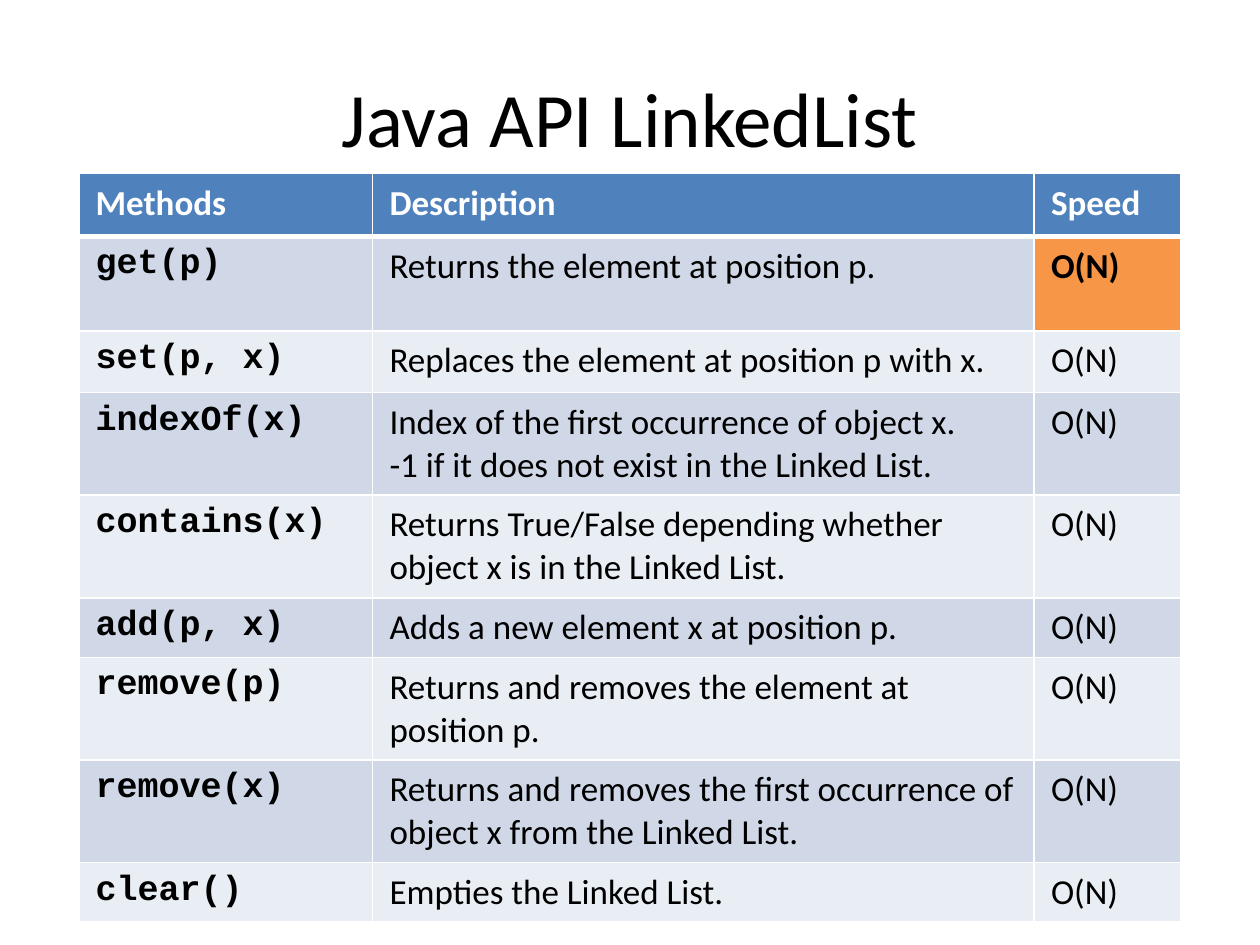
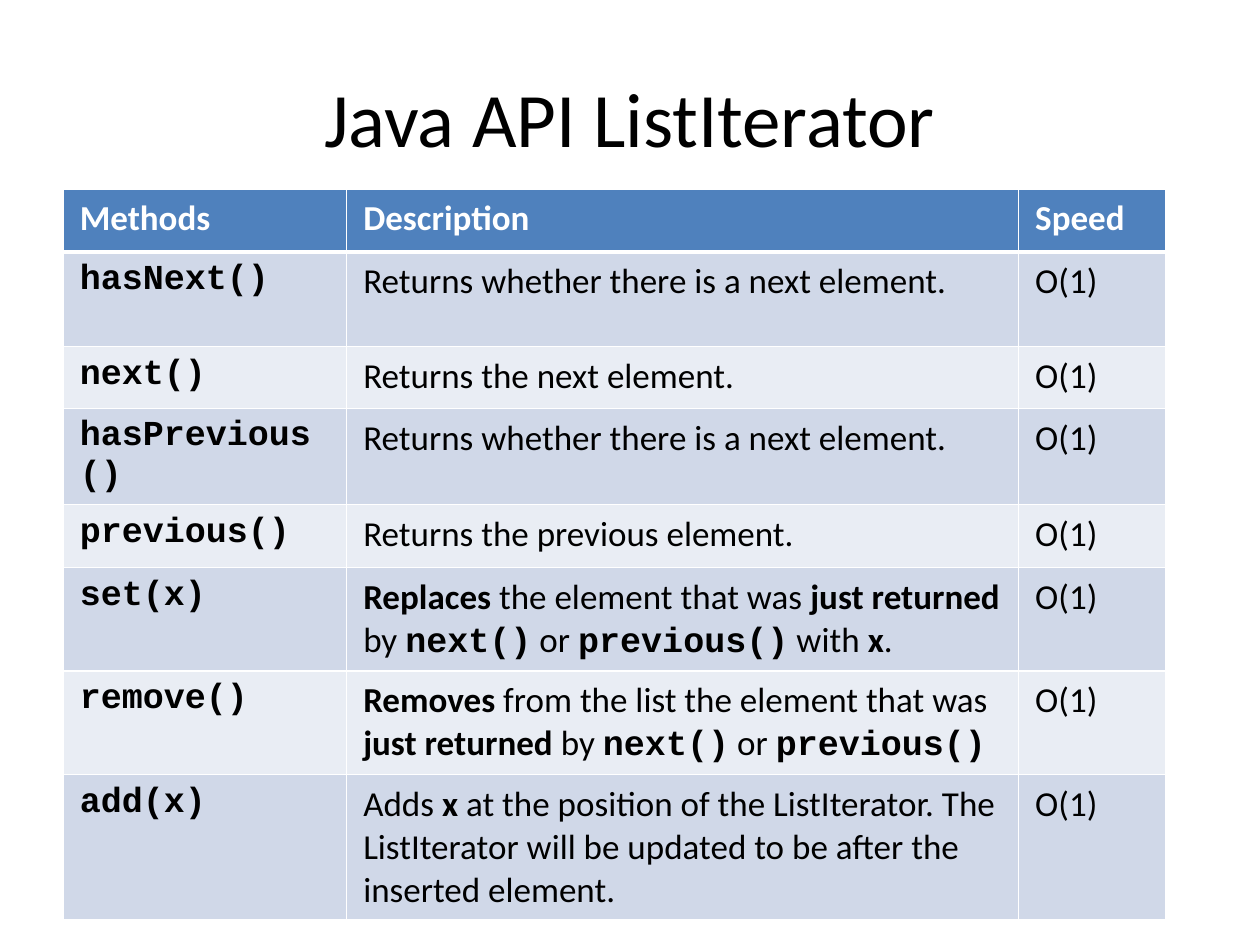
from lxml.etree import SubElement
from pptx import Presentation
from pptx.dml.color import RGBColor
from pptx.enum.text import MSO_ANCHOR, PP_ALIGN
from pptx.oxml.ns import qn
from pptx.util import Inches, Pt

WHITE = RGBColor(0xFF, 0xFF, 0xFF)
BLACK = RGBColor(0x00, 0x00, 0x00)
BLUE = RGBColor(0x4F, 0x81, 0xBD)
BAND = RGBColor(0xD0, 0xD8, 0xE8)
PALE = RGBColor(0xE9, 0xED, 0xF4)
ORANGE = RGBColor(0xF7, 0x96, 0x46)

SANS, MONO = "Calibri", "Courier New"

# Grid of 120 columns by 90 rows
COLS, ROWS = 120, 90
WIDTH, HEIGHT = Inches(10), Inches(7.5)
TITLE_BOX = (6, 3.6, 108, 15)
HEAD = ("Methods", "Description", "Speed")

# In cell text, *stars* mark bold and `ticks` mark code
LINKED = [
    ("get(p)", "Returns the element at position p."),
    ("set(p, x)", "Replaces the element at position p with x."),
    ("indexOf(x)", "Index of the first occurrence of object x.\n"
                   "-1 if it does not exist in the Linked List."),
    ("contains(x)", "Returns True/False depending whether object x is in the Linked List."),
    ("add(p, x)", "Adds a new element x at position p."),
    ("remove(p)", "Returns and removes the element at position p."),
    ("remove(x)", "Returns and removes the first occurrence of object x from the Linked List."),
    ("clear()", "Empties the Linked List."),
]
ITERATOR = [
    ("hasNext()", "Returns whether there is a next element."),
    ("next()", "Returns the next element."),
    ("hasPrevious()", "Returns whether there is a next element."),
    ("previous()", "Returns the previous element."),
    ("set(x)", "*Replaces* the element that was *just returned* by "
               "`next()` or `previous()` with *x*."),
    ("remove()", "*Removes* from the list the element that was *just returned* by "
                 "`next()` or `previous()`"),
    ("add(x)", "Adds *x* at the position of the ListIterator. The ListIterator "
               "will be updated to be after the inserted element."),
]
SLIDES = [
    dict(title="Java API LinkedList", methods=LINKED, speed="O(N)", hot=1,
         left=7.5, top=16.5, cols=(28, 63, 14), rows=(6, 9, 5.9, 6, 6, 5, 5, 5, 5)),
    dict(title="Java API ListIterator", methods=ITERATOR, speed="O(1)", hot=None,
         left=6, top=18, cols=(27, 64, 14), rows=(6, 9, 5.9, 6, 6, 5, 5, 5)),
]


def across(n):
    return round(WIDTH * n / COLS)


def down(n):
    return round(HEIGHT * n / ROWS)


def apply(target, **values):
    for name, value in values.items():
        setattr(target, name, value)


def add_run(para, text, size, color, bold=False, face=SANS):
    run = para.add_run()
    run.text = text
    apply(run.font, size=Pt(size), bold=bold, name=face)
    run.font.color.rgb = color


def add_title(slide, text, box):
    left, top, width, height = box
    title = slide.shapes.title
    apply(title, left=across(left), top=down(top), width=across(width), height=down(height))
    frame = title.text_frame
    frame.vertical_anchor = MSO_ANCHOR.MIDDLE
    para = frame.paragraphs[0]
    para.alignment = PP_ALIGN.CENTER
    add_run(para, text, 44, BLACK)


def set_edges(cell, top=1, bottom=1):
    props = cell._tc.get_or_add_tcPr()
    edges = {"a:lnL": 1, "a:lnR": 1, "a:lnT": top, "a:lnB": bottom}
    for spot, (tag, points) in enumerate(edges.items()):
        line = SubElement(props, qn(tag), w=str(Pt(points)))
        fill = SubElement(line, qn("a:solidFill"))
        SubElement(fill, qn("a:srgbClr"), val=str(WHITE))
        props.insert(spot, line)


def fill_cell(cell, text, fill, color):
    apply(cell, margin_left=across(1.6), margin_right=across(1.6),
          margin_top=down(0.8), margin_bottom=down(0.8))
    cell.fill.solid()
    cell.fill.fore_color.rgb = fill
    frame = cell.text_frame
    for i, line in enumerate(text.split("\n")):
        para = frame.add_paragraph() if i else frame.paragraphs[0]
        for j, chunk in enumerate(line.split("`")):
            code = j % 2 == 1
            for k, part in enumerate(chunk.split("*")):
                if part:
                    add_run(para, part, 20, color, code or k % 2 == 1,
                            MONO if code else SANS)


def add_grid(slide, methods, speed, hot, left, top, cols, rows):
    table = slide.shapes.add_table(
        len(rows), len(cols), across(left), down(top),
        across(sum(cols)), down(sum(rows))).table
    for col, width in zip(table.columns, cols):
        col.width = across(width)
    for row, height in zip(table.rows, rows):
        row.height = down(height)

    # Header row with a thick lower edge
    for c, text in enumerate(HEAD):
        cell = table.cell(0, c)
        fill_cell(cell, f"*{text}*", BLUE, WHITE)
        set_edges(cell, bottom=3)

    # Banded method rows, one speed cell may be marked
    for r, (name, about) in enumerate(methods, 1):
        band = BAND if r % 2 else PALE
        cost = f"*{speed}*" if r == hot else speed
        for c, text in enumerate((f"`{name}`", about, cost)):
            cell = table.cell(r, c)
            marked = r == hot and c == 2
            fill_cell(cell, text, ORANGE if marked else band, BLACK)
            set_edges(cell, top=3 if r == 1 else 1)


def add_page(deck, title, **grid):
    slide = deck.slides.add_slide(deck.slide_layouts[5])
    add_title(slide, title, TITLE_BOX)
    add_grid(slide, **grid)


def main():
    deck = Presentation()
    apply(deck, slide_width=WIDTH, slide_height=HEIGHT)
    for page in SLIDES:
        add_page(deck, **page)
    deck.save("out.pptx")


if __name__ == "__main__":
    main()
